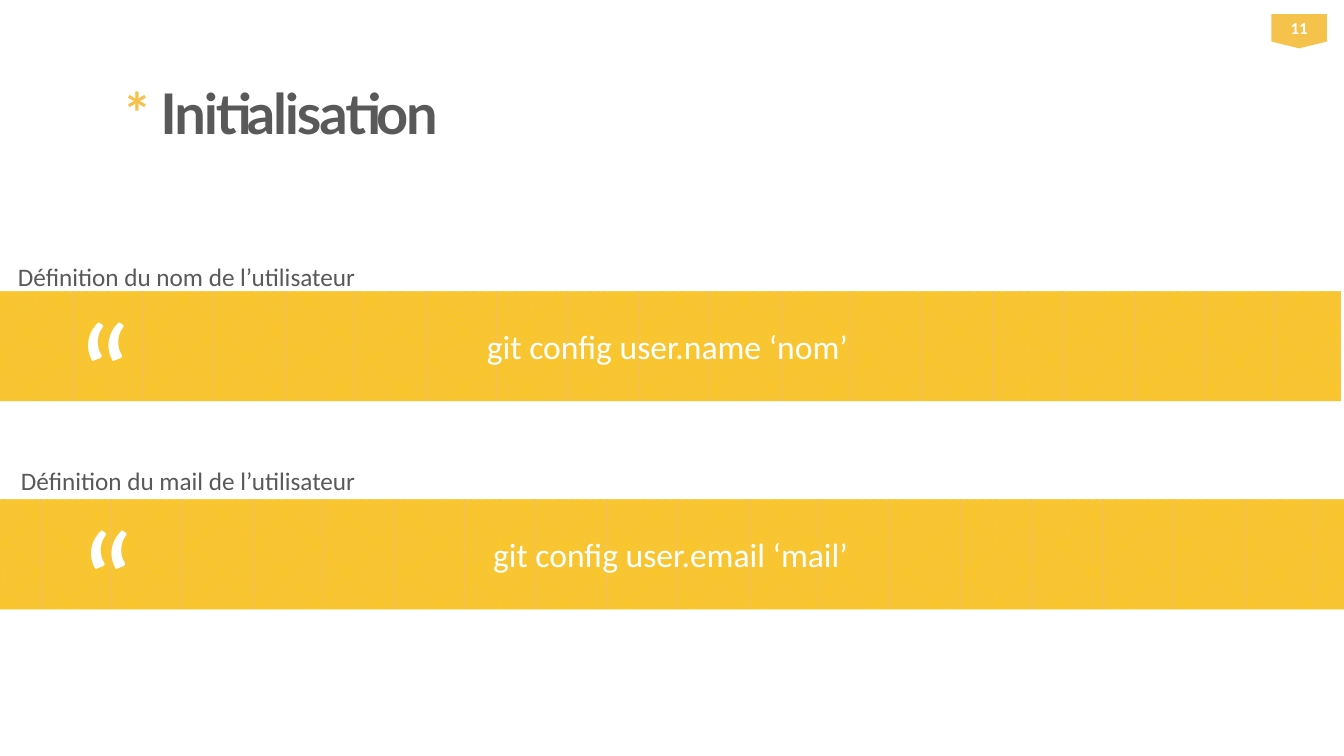
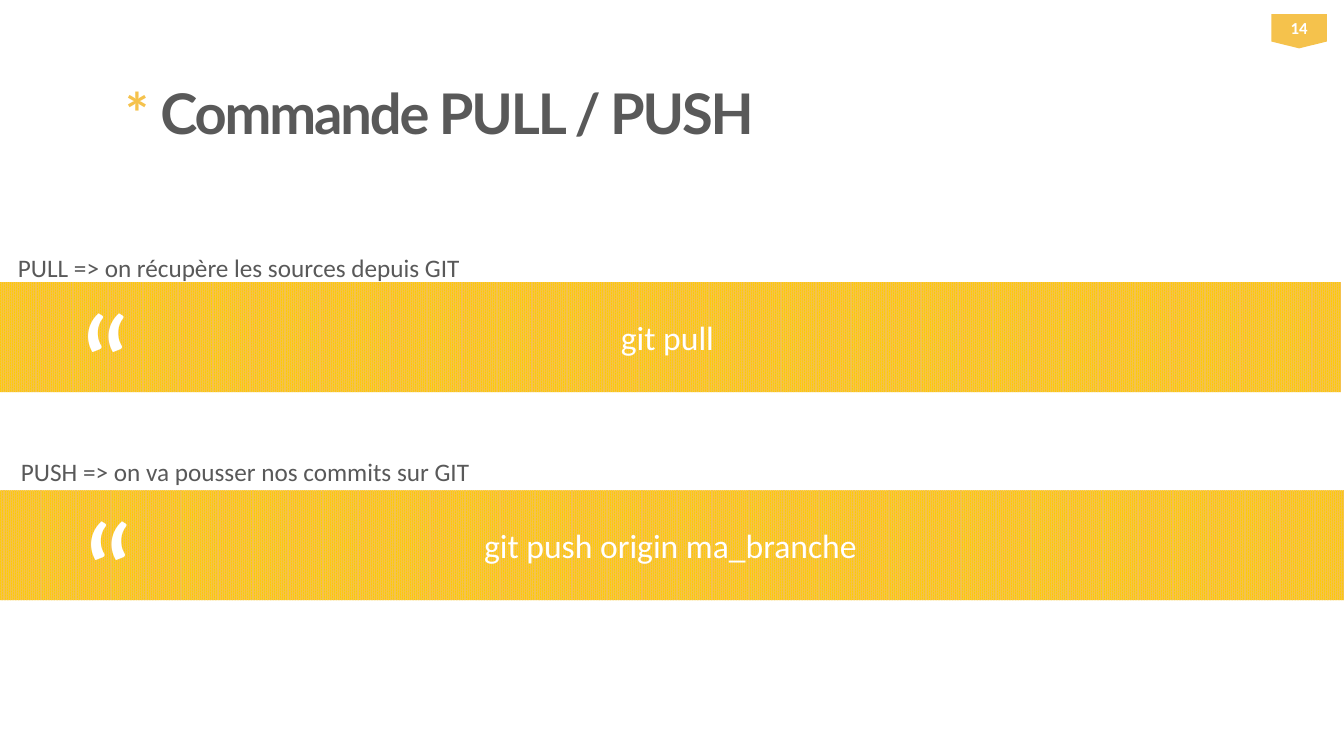
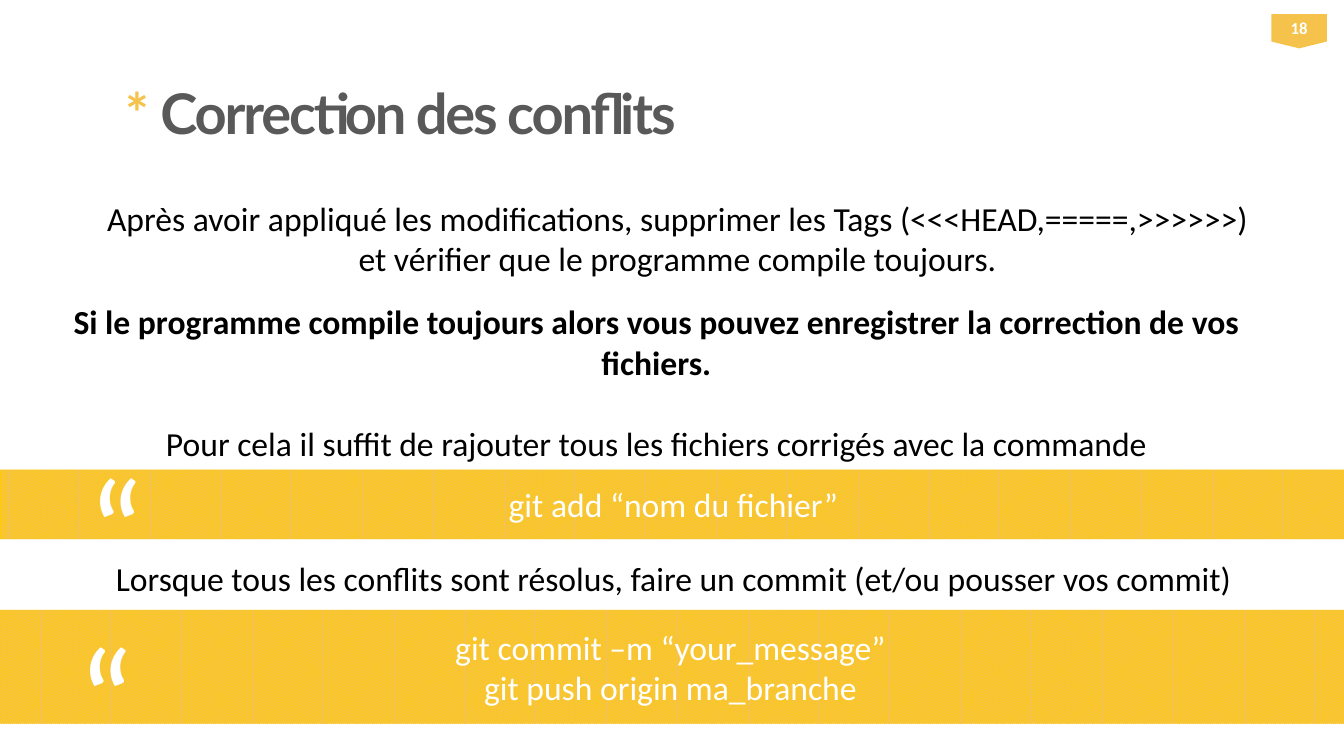
"""Build three slides about Git commands with a shared title, badge and band style."""
import dataclasses

import pptx
import pptx.dml.color
import pptx.enum.dml
import pptx.enum.shapes
import pptx.enum.text
import pptx.util

Inches = pptx.util.Inches
Pt = pptx.util.Pt
ALIGN = pptx.enum.text.PP_ALIGN
ANCHOR = pptx.enum.text.MSO_ANCHOR
FIT = pptx.enum.text.MSO_AUTO_SIZE
SHAPE = pptx.enum.shapes.MSO_SHAPE


@dataclasses.dataclass(frozen=True)
class Theme:
    amber: str = "F5C24C"
    yellow: str = "FFCC00"
    gray: str = "595959"
    white: str = "FFFFFF"
    black: str = "000000"
    display_font: str = "Lato"
    body_font: str = "Calibri"
    title_size: int = 40
    quote_size: int = 96
    body_size: int = 24
    caption_size: int = 18
    badge_size: int = 12
    paragraph_gap: float = 29.3
    tracking: int = -150
    band_width: float = 13.36
    text_width: float = 11.78


THEME = Theme()


def rgb(value):
    return pptx.dml.color.RGBColor.from_string(value)


def add_span(para, text, size, color, font=THEME.body_font, bold=False):
    span = para.add_run()
    span.text = text
    span.font.size = Pt(size)
    span.font.name = font
    span.font.bold = bold
    span.font.color.rgb = rgb(color)
    if font == THEME.display_font:
        span.font._element.set("spc", str(THEME.tracking))


def add_lines(frame, lines, size, color, align=ALIGN.CENTER, bold=False):
    for index, line in enumerate(lines):
        para = frame.add_paragraph() if index else frame.paragraphs[0]
        para.alignment = align
        add_span(para, line, size, color, bold=bold)


def add_box(page, left, top, width, height, wrap=True, fit=FIT.SHAPE_TO_FIT_TEXT):
    box = page.shapes.add_textbox(Inches(left), Inches(top), Inches(width), Inches(height))
    frame = box.text_frame
    frame.word_wrap = wrap
    frame.auto_size = fit
    return frame


def add_plain_shape(page, kind, left, top, width, height):
    shape = page.shapes.add_shape(kind, Inches(left), Inches(top), Inches(width), Inches(height))
    shape.shadow.inherit = False
    shape.line.fill.background()
    shape.text_frame.vertical_anchor = ANCHOR.MIDDLE
    return shape


def add_page(deck, title, number):
    page = deck.slides.add_slide(deck.slide_layouts[5])
    heading = page.shapes.title
    heading.left, heading.top = Inches(1.14), Inches(0.73)
    heading.width, heading.height = Inches(10.74), Inches(0.66)
    frame = heading.text_frame
    frame.vertical_anchor = ANCHOR.TOP
    frame.auto_size = FIT.NONE
    para = frame.paragraphs[0]
    para.alignment = ALIGN.LEFT
    for text, color in (("* ", THEME.amber), (title, THEME.gray)):
        add_span(para, text, THEME.title_size, color, THEME.display_font, True)

    badge = add_plain_shape(page, SHAPE.FLOWCHART_OFFPAGE_CONNECTOR, 12.61, 0.14, 0.55, 0.34)
    badge.fill.solid()
    badge.fill.fore_color.rgb = rgb(THEME.amber)
    add_lines(badge.text_frame, [str(number)], THEME.badge_size, THEME.white, bold=True)
    return page


def add_quote(page, left, top):
    frame = add_box(page, left, top, 0.07, 0.92, fit=FIT.NONE)
    frame.margin_left = frame.margin_right = frame.margin_top = frame.margin_bottom = 0
    add_span(frame.paragraphs[0], "“", THEME.quote_size, THEME.white, THEME.display_font)


def add_band(page, left, top, height, commands, quote_left, quote_top):
    band = add_plain_shape(page, SHAPE.RECTANGLE, left, top, THEME.band_width, height)
    band.fill.patterned()
    band.fill.pattern = pptx.enum.dml.MSO_PATTERN.PERCENT_90
    band.fill.fore_color.rgb = rgb(THEME.amber)
    band.fill.back_color.rgb = rgb(THEME.yellow)
    add_lines(band.text_frame, commands, THEME.body_size, THEME.white)
    add_quote(page, quote_left, quote_top)


def add_captioned_band(page, left, top, rise, caption, caption_width, command):
    add_band(page, left, top, 1.09, [command], left + 0.87, top)
    frame = add_box(page, left + 0.14, top - rise, caption_width, 0.4, wrap=False)
    add_lines(frame, [caption], THEME.caption_size, THEME.gray, ALIGN.LEFT)


def add_statement(page, left, top, height, text, bold=False):
    frame = add_box(page, left, top, THEME.text_width, height)
    add_lines(frame, [text], THEME.body_size, THEME.black, bold=bold)
    return frame


def add_command_page(deck, title, number, top, first, second):
    page = add_page(deck, title, number)
    add_captioned_band(page, -0.06, top, 0.35, *first)
    add_captioned_band(page, -0.03, top + 2.065, 0.39, *second)


def add_conflict_page(deck):
    page = add_page(deck, "Correction des conflits", 18)
    add_statement(page, 0.83, 1.91, 0.91,
                  "Après avoir appliqué les modifications, supprimer les Tags "
                  "(<<<HEAD,=====,>>>>>>) et vérifier que le programme compile toujours.")
    frame = add_statement(page, 0.62, 2.94, 1.72,
                          "Si le programme compile toujours alors vous pouvez "
                          "enregistrer la correction de vos fichiers.", bold=True)
    para = frame.add_paragraph()
    para.alignment = ALIGN.CENTER
    para.space_before = Pt(THEME.paragraph_gap)
    add_span(para, "Pour cela il suffit de rajouter tous les fichiers corrigés avec la commande",
             THEME.body_size, THEME.black)
    add_band(page, 0, 4.66, 0.69, ["git add “nom du fichier”"], 0.93, 4.44)
    add_statement(page, 0.79, 5.49, 0.5,
                  "Lorsque tous les conflits sont résolus, faire un commit "
                  "(et/ou pousser vos commit)")
    add_band(page, -0.03, 6.05, 1.13,
             ["git commit –m “your_message”", "git push origin ma_branche"], 0.83, 6.11)


def main():
    deck = pptx.Presentation()
    deck.slide_width, deck.slide_height = Inches(13.33), Inches(7.5)
    add_command_page(
        deck, "Initialisation", 11, 2.89,
        ("Définition du nom de l’utilisateur", 3.59, "git config user.name ‘nom’"),
        ("Définition du mail de l’utilisateur", 3.56, "git config user.email ‘mail’"))
    add_command_page(
        deck, "Commande PULL / PUSH", 14, 2.8,
        ("PULL => on récupère les sources depuis GIT", 4.64, "git pull"),
        ("PUSH => on va pousser nos commits sur GIT", 4.7, "git push origin ma_branche"))
    add_conflict_page(deck)
    deck.save("out.pptx")


main()
